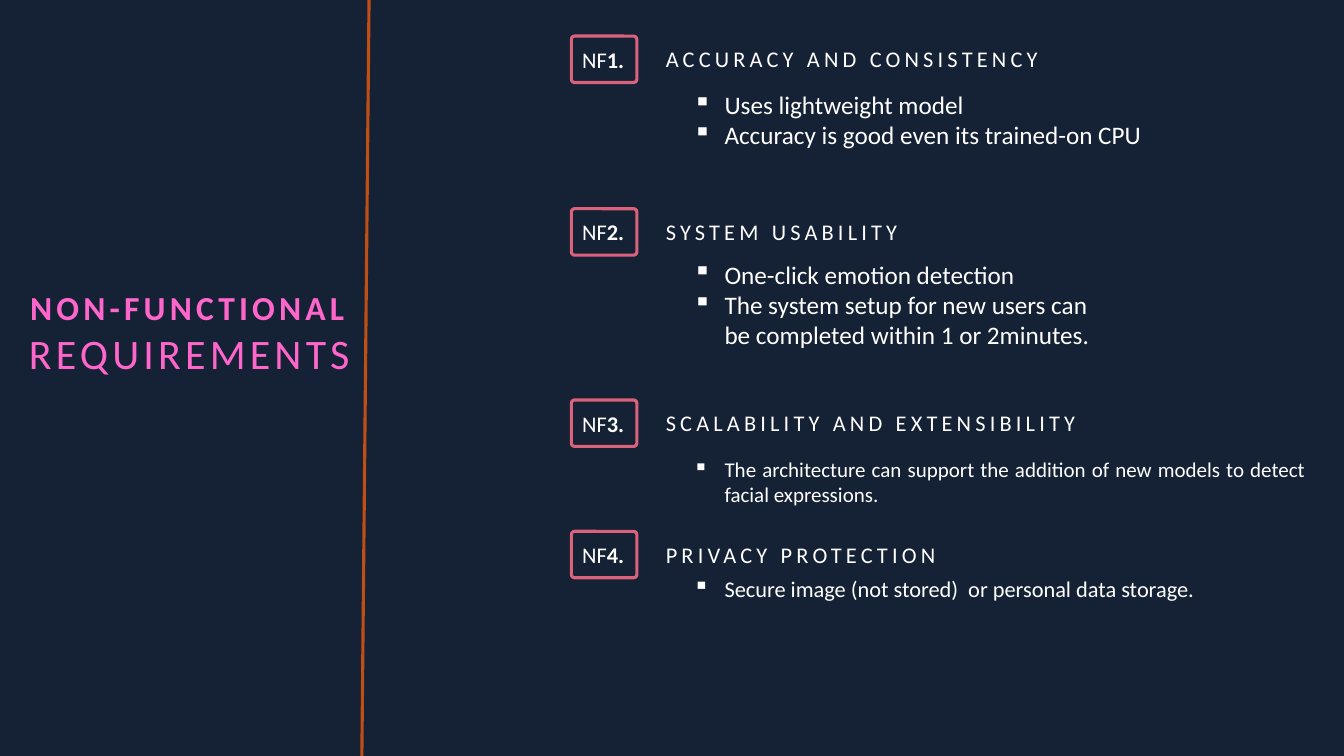
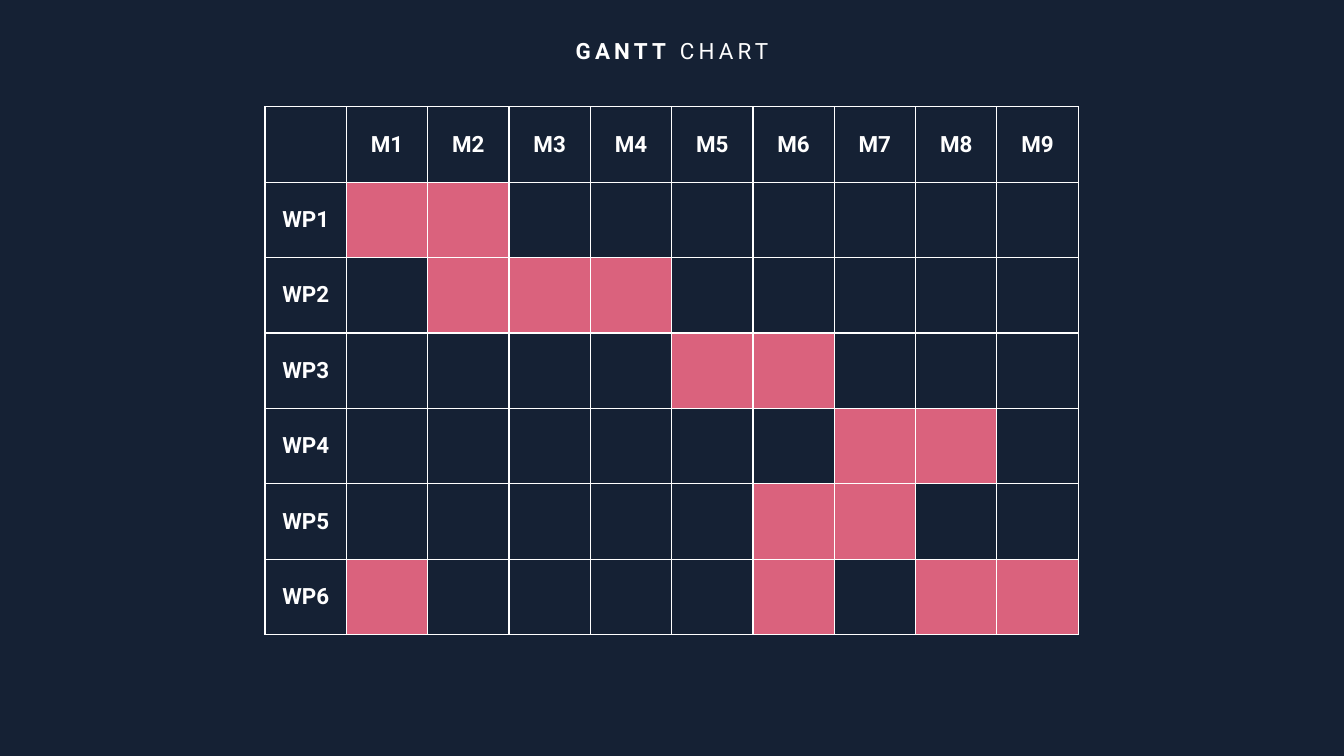
from lxml.etree import SubElement
from pptx import Presentation
from pptx.dml.color import RGBColor
from pptx.enum.shapes import MSO_CONNECTOR, MSO_SHAPE
from pptx.enum.text import MSO_ANCHOR, MSO_AUTO_SIZE, PP_ALIGN
from pptx.oxml.ns import qn
from pptx.util import Cm, Pt

NAVY, WHITE, ROSE = "152134", "FFFFFF", "DA627D"
PINK, ORANGE = "FF66CC", "C04F15"
BODY_FONT, CHART_FONT = "Calibri", "Roboto"
SLIDE_WIDTH, SLIDE_HEIGHT = 33.87, 19.05

# top of the badge, heading, bullet offset from that top, bullet size, bullet alignment, bullets
REQUIREMENTS = [
    (0.91, "ACCURACY AND CONSISTENCY", 1.22, 18, PP_ALIGN.LEFT,
     ["Uses lightweight model", "Accuracy is good even its trained-on CPU"]),
    (5.26, "SYSTEM USABILITY", 1.14, 18, PP_ALIGN.LEFT,
     ["One-click emotion detection",
      "The system setup for new users can\vbe completed within 1 or 2minutes."]),
    (10.08, "SCALABILITY AND EXTENSIBILITY", 1.3, 15, PP_ALIGN.JUSTIFY,
     ["The architecture can support the addition of new models to detect facial expressions."]),
    (13.39, "PRIVACY PROTECTION", 0.97, 16, PP_ALIGN.LEFT,
     ["Secure image (not stored)  or personal data storage."]),
]
MONTHS = 9
ACTIVE_MONTHS = [{1, 2}, {2, 3, 4}, {5, 6}, {7, 8}, {6, 7}, {1, 6, 8, 9}]


def rgb(value):
    return RGBColor.from_string(value)


def format_span(span, size, font=BODY_FONT, color=WHITE, bold=False, spacing=0):
    span.font.size = Pt(size)
    span.font.name = font
    span.font.bold = bold
    span.font.color.rgb = rgb(color)
    if spacing:
        span._r.get_or_add_rPr().set("spc", str(spacing * 100))


def add_spans(para, spans, **style):
    """Append (text, size, bold) spans that share a style."""
    for text, size, bold in spans:
        span = para.add_run()
        span.text = text
        format_span(span, size, bold=bold, **style)


def add_title(page, left, top, width, height, spans, **style):
    title = page.shapes.title
    title.left, title.top, title.width, title.height = map(Cm, (left, top, width, height))
    frame = title.text_frame
    frame.word_wrap = True
    frame.auto_size = MSO_AUTO_SIZE.NONE
    frame.vertical_anchor = MSO_ANCHOR.TOP
    para = frame.paragraphs[0]
    para.alignment = PP_ALIGN.CENTER
    add_spans(para, spans, spacing=3, **style)


def add_text_box(page, left, top, width, height):
    box = page.shapes.add_textbox(*map(Cm, (left, top, width, height)))
    box.text_frame.word_wrap = True
    return box.text_frame


def add_badge(page, left, top, number):
    badge = page.shapes.add_shape(MSO_SHAPE.ROUNDED_RECTANGLE, *map(Cm, (left, top, 1.65, 1.17)))
    badge.adjustments[0] = 0.07
    badge.shadow.inherit = False
    badge.fill.background()
    badge.line.color.rgb = rgb(ROSE)
    badge.line.width = Pt(2.25)
    frame = badge.text_frame
    frame.word_wrap = False
    frame.vertical_anchor = MSO_ANCHOR.MIDDLE
    frame.margin_left = Cm(0.25)
    para = frame.paragraphs[0]
    para.alignment = PP_ALIGN.LEFT
    add_spans(para, [("NF", 16, False), (f"{number}.", 16, True)])


def add_bullets(frame, texts, size, alignment):
    frame.text = "\n".join(texts)
    for para in frame.paragraphs:
        properties = para._p.get_or_add_pPr()
        properties.set("marL", str(Cm(0.79)))
        properties.set("indent", str(-Cm(0.79)))
        SubElement(properties, qn("a:buChar")).set("char", "▪")
        para.alignment = alignment
        for span in para.runs:
            format_span(span, size)


def add_requirement(page, left, top, number, heading, bullet_offset, size, alignment, bullets):
    add_badge(page, left, top, number)
    frame = add_text_box(page, left + 2.13, top + 0.11, 12.7, 0.94)
    frame.text = heading
    format_span(frame.paragraphs[0].runs[0], 16, spacing=3)
    height = 0.8 * len(bullets) + 0.75
    frame = add_text_box(page, left + 2.82, top + bullet_offset, 15.93, height)
    add_bullets(frame, bullets, size, alignment)


def add_divider(page, bottom_x, top_x):
    divider = page.shapes.add_connector(
        MSO_CONNECTOR.STRAIGHT, Cm(bottom_x), Cm(SLIDE_HEIGHT), Cm(top_x), Cm(0))
    divider.line.color.rgb = rgb(ORANGE)
    divider.line.width = Pt(2.25)
    SubElement(divider._element.spPr, qn("a:effectLst"))


def set_borders(cell, color):
    properties = cell._tc.get_or_add_tcPr()
    for side in ("lnL", "lnR", "lnT", "lnB"):
        border = SubElement(properties, qn(f"a:{side}"), w=str(Pt(1)))
        fill = SubElement(border, qn("a:solidFill"))
        SubElement(fill, qn("a:srgbClr"), val=color)


def format_cell(cell, text, active):
    set_borders(cell, WHITE)
    if active:
        cell.fill.solid()
        cell.fill.fore_color.rgb = rgb(ROSE)
    else:
        cell.fill.background()
    cell.vertical_anchor = MSO_ANCHOR.MIDDLE
    if text:
        cell.text = text
        para = cell.text_frame.paragraphs[0]
        para.alignment = PP_ALIGN.CENTER
        format_span(para.runs[0], 16, CHART_FONT, bold=True)


def add_gantt(page, left, top, column_width, row_height):
    row_count, column_count = len(ACTIVE_MONTHS) + 1, MONTHS + 1
    table = page.shapes.add_table(
        row_count, column_count, Cm(left), Cm(top),
        Cm(column_width * column_count), Cm(row_height * row_count)).table
    table.first_row = table.horz_banding = False
    for column in table.columns:
        column.width = Cm(column_width)
    for row in table.rows:
        row.height = Cm(row_height)
    for package in range(row_count):
        for month in range(column_count):
            text = ""
            if package == 0 and month:
                text = f"M{month}"
            elif package and month == 0:
                text = f"WP{package}"
            active = package > 0 and month in ACTIVE_MONTHS[package - 1]
            format_cell(table.cell(package, month), text, active)


def build_requirements(page):
    add_title(page, 0, 7.11, 9.55, 2.57,
              [("NON-FUNCTIONAL ", 24, True), ("REQUIREMENTS", 30, False)], color=PINK)
    for number, (top, *content) in enumerate(REQUIREMENTS, 1):
        add_requirement(page, 14.4, top, number, *content)
    add_divider(page, 9.12, 9.3)


def build_gantt(page):
    width = 6.55
    add_title(page, (SLIDE_WIDTH - width) / 2, 0.81, width, 0.94,
              [("GANTT", 16, True), (" CHART", 16, False)], font=CHART_FONT)
    add_gantt(page, 6.68, 2.69, 2.05, 1.9)


def main():
    deck = Presentation()
    deck.slide_width, deck.slide_height = Cm(SLIDE_WIDTH), Cm(SLIDE_HEIGHT)
    background = deck.slide_master.background.fill
    background.solid()
    background.fore_color.rgb = rgb(NAVY)
    title_only = deck.slide_layouts[5]
    for build in (build_requirements, build_gantt):
        build(deck.slides.add_slide(title_only))
    deck.save("out.pptx")


if __name__ == "__main__":
    main()
